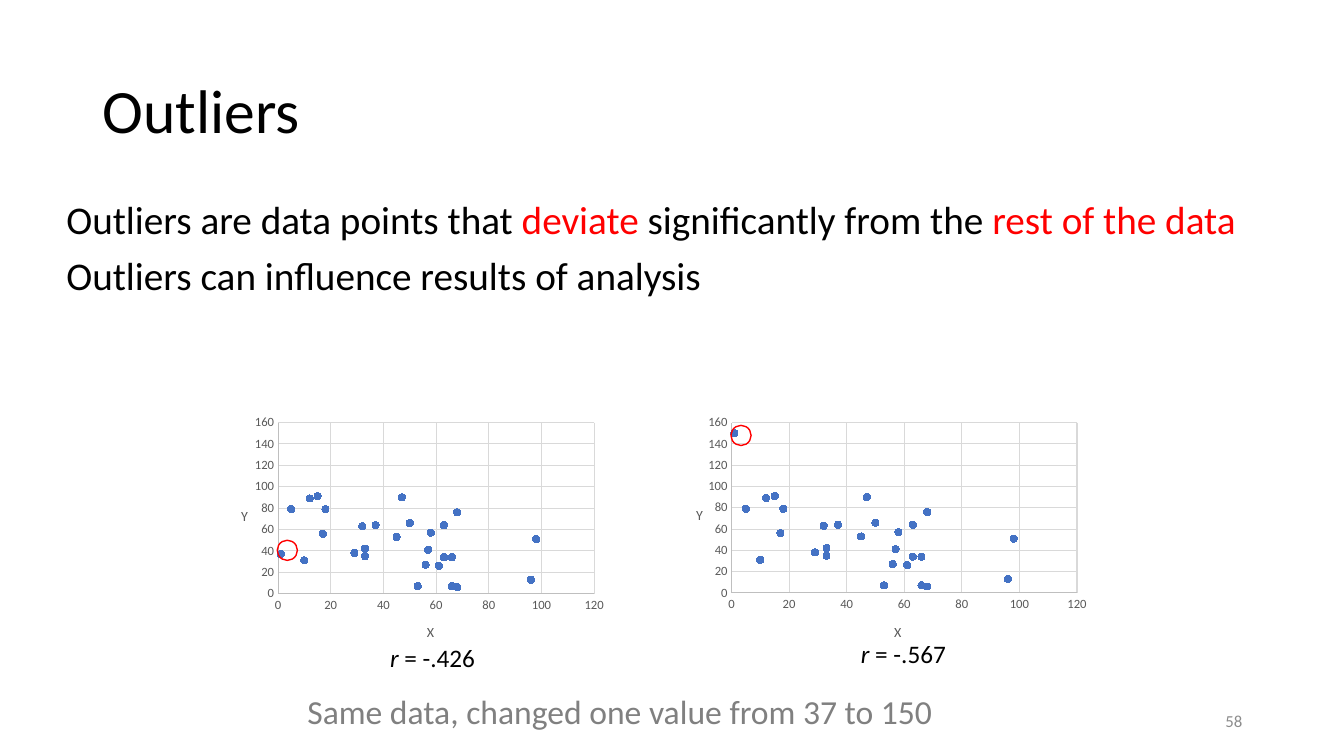
"""Build a slide on how one outlier changes a correlation."""
from lxml import etree
from pptx import Presentation
from pptx.chart.data import XyChartData
from pptx.dml.color import RGBColor
from pptx.enum.chart import XL_CHART_TYPE, XL_MARKER_STYLE, XL_TICK_MARK
from pptx.enum.shapes import MSO_SHAPE
from pptx.enum.text import MSO_ANCHOR, PP_ALIGN
from pptx.oxml.ns import qn
from pptx.util import Pt

SCATTER = XL_CHART_TYPE.XY_SCATTER
CIRCLE = XL_MARKER_STYLE.CIRCLE
NO_TICK = XL_TICK_MARK.NONE
OVAL = MSO_SHAPE.OVAL
TOP, MIDDLE = MSO_ANCHOR.TOP, MSO_ANCHOR.MIDDLE
LEFT, CENTER, RIGHT = PP_ALIGN.LEFT, PP_ALIGN.CENTER, PP_ALIGN.RIGHT

EMU_PER_PX = 9144
FONT = "Calibri"
BLACK, RED, GRAY, PALE = "000000", "FF0000", "808080", "8C8C8C"
LABEL, AXIS, GRID, BLUE = "595959", "BFBFBF", "D9D9D9", "4472C4"

TITLE = [[("Outliers", BLACK, False)]]
BODY = [
    [("Outliers are data points that ", BLACK, False), ("deviate", RED, False),
     (" significantly from the ", BLACK, False), ("rest of the data", RED, False)],
    [("Outliers can influence results of analysis", BLACK, False)],
]
CAPTION = [[("Same data, changed one value from 37 to 150", GRAY, False)]]
NUMBER = [[("58", PALE, False)]]

OUTLIER_X = 1
POINTS = [
    (68, 76), (15, 91), (12, 89), (33, 42), (56, 27), (37, 64), (29, 38),
    (45, 53), (10, 31), (47, 90), (98, 51), (63, 64), (33, 35), (63, 34),
    (66, 7), (17, 56), (57, 41), (53, 7), (OUTLIER_X, 37), (61, 26), (96, 13),
    (68, 6), (50, 66), (18, 79), (66, 34), (32, 63), (58, 57), (5, 79),
]
PANELS = [
    {"outlier": 37, "chart": (217, 407, 392, 246), "plot": (0.15, 0.05, 0.8, 0.69),
     "r": " = -.426", "label": (350, 632, 158, 42), "ring": (275, 536, 20, 20)},
    {"outlier": 150, "chart": (667, 407, 418, 245), "plot": (0.14, 0.05, 0.82, 0.69),
     "r": " = -.567", "label": (817, 628, 158, 42), "ring": (725, 422, 20, 20)},
]


def color(value):
    return RGBColor.from_string(value)


def emu(lengths):
    return [length * EMU_PER_PX for length in lengths]


def style(font, size, value):
    font.name, font.size, font.bold = FONT, Pt(size), False
    font.color.rgb = color(value)


def write(box, paragraphs, size, align=LEFT, anchor=TOP, spacing=1.0, before=0):
    frame = box.text_frame
    frame.word_wrap = True
    frame.vertical_anchor = anchor
    for index, spans in enumerate(paragraphs):
        para = frame.add_paragraph() if index else frame.paragraphs[0]
        para.alignment, para.line_spacing = align, spacing
        para.space_before = Pt(before if index else 0)
        for text, value, italic in spans:
            span = para.add_run()
            span.text = text
            style(span.font, size, value)
            span.font.italic = italic


def add_text(slide, place, paragraphs, size, **options):
    write(slide.shapes.add_textbox(*emu(place)), paragraphs, size, **options)


def set_layout(parent, index, **values):
    for old in parent.findall(qn("c:layout")):
        parent.remove(old)
    layout = etree.Element(qn("c:layout"))
    manual = etree.SubElement(layout, qn("c:manualLayout"))
    for name, value in values.items():
        etree.SubElement(manual, qn("c:" + name)).set("val", str(value))
    parent.insert(index, layout)


def format_axis(axis, name, maximum, title_x, title_y):
    axis.minimum_scale, axis.maximum_scale, axis.major_unit = 0, maximum, 20
    axis.major_tick_mark = axis.minor_tick_mark = NO_TICK
    axis.has_major_gridlines = True
    for line, value in ((axis.format.line, AXIS), (axis.major_gridlines.format.line, GRID)):
        line.color.rgb = color(value)
        line.width = Pt(0.75)
    style(axis.tick_labels.font, 9, LABEL)
    title = axis.axis_title
    span = title.text_frame.paragraphs[0].add_run()
    span.text = name
    style(span.font, 10, LABEL)
    body = title.text_frame._txBody.find(qn("a:bodyPr"))
    body.set("rot", "0")
    body.set("vert", "horz")
    set_layout(title._element, 1, xMode="edge", yMode="edge", x=title_x, y=title_y)


def add_scatter(slide, panel):
    data = XyChartData()
    series_data = data.add_series("Series 1")
    for x, y in POINTS:
        series_data.add_data_point(x, panel["outlier"] if x == OUTLIER_X else y)
    chart = slide.shapes.add_chart(SCATTER, *emu(panel["chart"]), data).chart
    chart.has_title = chart.has_legend = False
    style(chart.font, 10, BLACK)
    chart.plots[0].vary_by_categories = False
    series = chart.plots[0].series[0]
    series.smooth = False
    series.format.line.fill.background()
    series.marker.style, series.marker.size = CIRCLE, 5
    series.marker.format.fill.solid()
    series.marker.format.fill.fore_color.rgb = color(BLUE)
    series.marker.format.line.color.rgb = color(BLUE)
    format_axis(chart.category_axis, "X", 120, 0.52, 0.85)
    format_axis(chart.value_axis, "Y", 160, 0.05, 0.38)
    x, y, width, height = panel["plot"]
    set_layout(chart._chartSpace.chart.plotArea, 0, layoutTarget="inner",
               xMode="edge", yMode="edge", x=x, y=y, w=width, h=height)


def add_ring(slide, place):
    ring = slide.shapes.add_shape(OVAL, *emu(place))
    ring.shadow.inherit = False
    ring.fill.background()
    ring.line.color.rgb = color(RED)
    ring.line.width = Pt(1)


def main():
    deck = Presentation()
    deck.slide_width, deck.slide_height = emu((1333, 750))
    slide = deck.slides.add_slide(deck.slide_layouts[5])
    title = slide.shapes.title
    title.left, title.top, title.width, title.height = emu((92, 40, 1150, 145))
    write(title, TITLE, 44, anchor=MIDDLE, spacing=0.9)
    add_text(slide, (56, 194, 1226, 183), BODY, 28, spacing=0.9, before=10)
    add_text(slide, (942, 695, 300, 40), NUMBER, 12, align=RIGHT, anchor=MIDDLE)
    for panel in PANELS:
        add_scatter(slide, panel)
        label = [[("r", BLACK, True), (panel["r"], BLACK, False)]]
        add_text(slide, panel["label"], label, 18, align=CENTER)
    add_text(slide, (295, 680, 900, 88), CAPTION, 24)
    for panel in PANELS:
        add_ring(slide, panel["ring"])
    deck.save("out.pptx")


if __name__ == "__main__":
    main()
